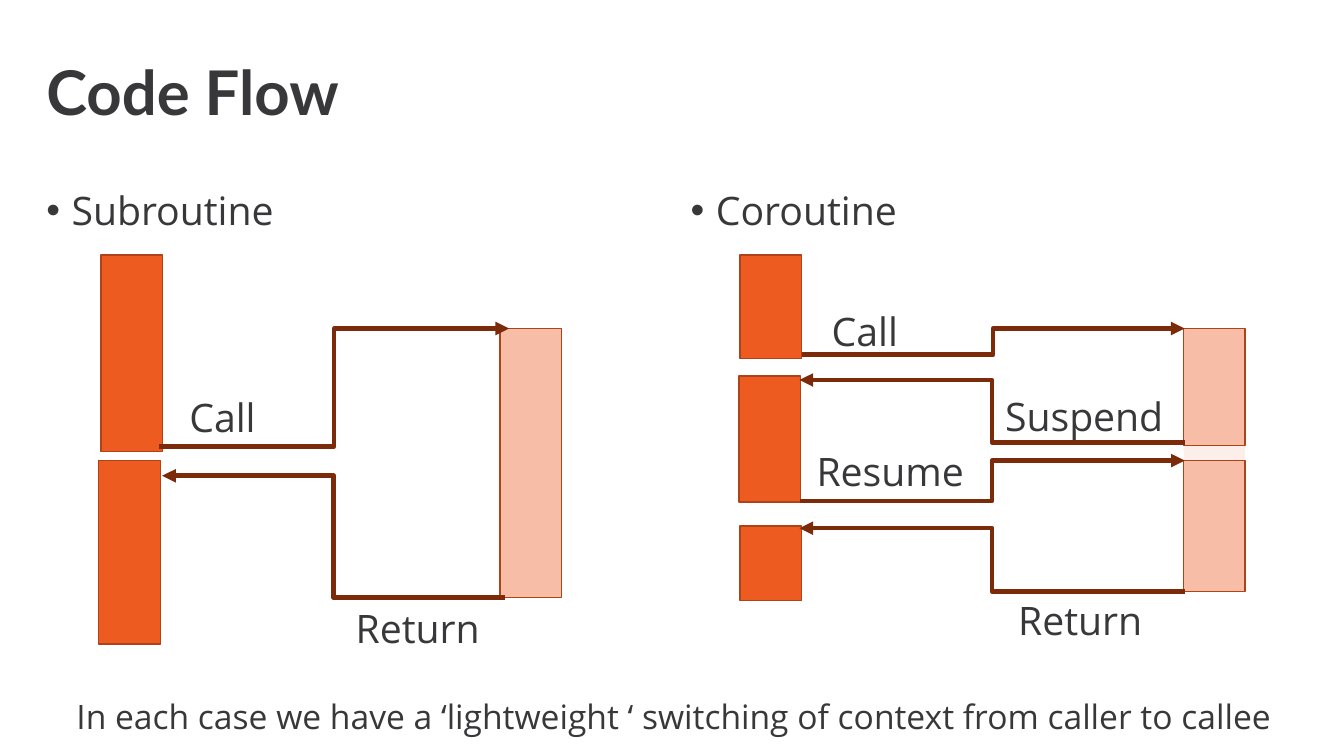
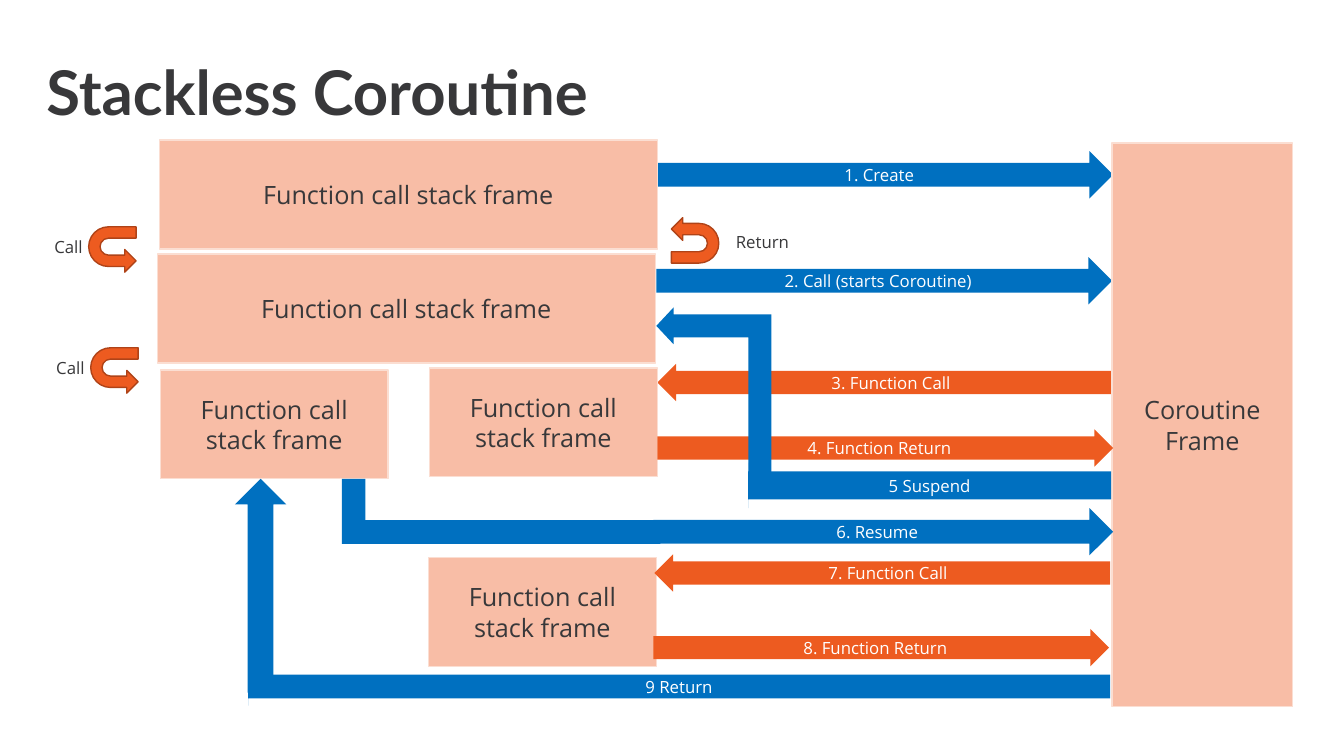
"""Builds two slides that compare subroutine and coroutine control flow."""
from dataclasses import dataclass

from lxml import etree
from pptx import Presentation
from pptx.dml.color import RGBColor
from pptx.enum.shapes import MSO_CONNECTOR, MSO_SHAPE
from pptx.enum.text import MSO_ANCHOR, PP_ALIGN
from pptx.oxml.ns import qn
from pptx.util import Inches, Pt

ELBOW = MSO_CONNECTOR.ELBOW
RECT, UP = MSO_SHAPE.RECTANGLE, MSO_SHAPE.UP_ARROW
RIGHT, LEFT = MSO_SHAPE.RIGHT_ARROW, MSO_SHAPE.LEFT_ARROW
BENT_UP, U_TURN = MSO_SHAPE.BENT_UP_ARROW, MSO_SHAPE.U_TURN_ARROW
MIDDLE, TOP = MSO_ANCHOR.MIDDLE, MSO_ANCHOR.TOP
AT_LEFT, AT_CENTER = PP_ALIGN.LEFT, PP_ALIGN.CENTER


@dataclass(frozen=True)
class Theme:
    """Colours, fonts and type sizes of the slides."""
    ink: str = "38383A"
    white: str = "FFFFFF"
    orange: str = "ED5B20"
    orange_edge: str = "AF4318"
    peach: str = "F8BDA6"
    pale: str = "FBDED2"
    brown: str = "7C2B0A"
    blue: str = "0070C0"
    title_font: str = "Lato"
    body_font: str = "Open Sans"
    title: int = 44
    body: int = 28
    note: int = 24
    frame: int = 18
    small: int = 12


T = Theme()
TWO_CONTENT, TITLE_ONLY = 3, 5
TITLE_BOX = (0.36, 0.4, 12.59, 1.1)

BODIES = [("Subroutine", (0.36, 1.85, 6.22, 4.76)),
          ("Coroutine", (6.75, 1.85, 6.2, 4.76))]
BAR_W = 0.61
CALLER_BARS = [(1, 2.53, 1.95), (0.98, 4.57, 1.82),
               (7.34, 2.53, 1.03), (7.33, 3.73, 1.25), (7.34, 5.22, 0.74)]
CALLEE_BARS = [(4.96, 3.26, 2.67), (11.74, 3.26, 1.16), (11.74, 4.57, 1.3)]
PAUSED_BAR = (11.74, 3.26, 2.61)
FLOWS = [(1.58, 4.43, 5.05, 3.26), (5.01, 5.93, 1.61, 4.72),
         (7.95, 3.52, 11.75, 3.26), (11.75, 4.39, 7.93, 3.77),
         (7.93, 4.97, 11.75, 4.57), (11.75, 5.87, 7.93, 5.24)]
FLOW_LABELS = [("Call", 1.78, 3.85, 1.12), ("Call", 8.15, 3, 1.12),
               ("Return", 3.43, 5.95, 1.47), ("Return", 10, 5.87, 1.47),
               ("Suspend", 9.87, 3.84, 1.78), ("Resume", 8, 4.39, 1.78)]
NOTE = ("In each case we have a ‘lightweight ‘ switching of context "
        "from caller to callee")

FRAME_TEXT = "Function call stack frame"
FRAME_H, WIDE, NARROW = 1.08, 4.94, 2.26
FRAMES = [(FRAME_TEXT, 1.58, 1.39, WIDE, FRAME_H),
          (FRAME_TEXT, 1.56, 2.52, WIDE, FRAME_H),
          (FRAME_TEXT, 4.26, 3.65, NARROW, FRAME_H),
          (FRAME_TEXT, 1.59, 3.67, NARROW, FRAME_H),
          (FRAME_TEXT, 4.25, 5.53, NARROW, FRAME_H),
          ("Coroutine Frame", 11.03, 1.42, 1.79, 5.59)]

ARROW_W, BLUE_H, ORANGE_H = 4.52, 0.47, 0.37
SLIM, HEADLESS = (0.62, 0.5), (0.62, 0)
BACK_ARROWS = [
    ("1. Create", RIGHT, (6.52, 1.5, ARROW_W, BLUE_H), T.blue, ()),
    ("2. Call (starts Coroutine)", RIGHT, (6.51, 2.55, ARROW_W, BLUE_H), T.blue, ()),
    ("3. Function Call", LEFT, (6.52, 3.61, ARROW_W, ORANGE_H), T.orange, SLIM)]
FRONT_ARROWS = [
    ("4. Function Return", RIGHT, (6.52, 4.26, ARROW_W, ORANGE_H), T.orange, SLIM),
    ("7. Function Call", LEFT, (6.49, 5.5, ARROW_W, ORANGE_H), T.orange, SLIM),
    ("8. Function Return", RIGHT, (6.48, 6.24, ARROW_W, ORANGE_H), T.orange, SLIM),
    ("9 Return", LEFT, (2.46, 6.62, 8.55, 0.38), T.blue, HEADLESS),
    ("5 Suspend", LEFT, (7.42, 4.59, 3.6, 0.45), T.blue, HEADLESS),
    ("6. Resume", RIGHT, (6.48, 5.04, 4.56, BLUE_H), T.blue, ())]
TURNS = [((6.15, 3.41, 1.86, 1.14), 270, (0.2, 0.16, 0.15)),
         ((4.82, 3.32, 0.6, 3.46), 90, (0.39, 0.12, 0.5))]
RETURN_HEAD = (2.33, 4.75, 0.51, 2.12)
U_TURN_SIZE, U_TURN_ADJ = (0.45, 0.47), (0.25, 0.25, 0.25, 0.44, 1)
U_TURNS = [("Call", 0.89, 2.24, 270, -0.45, 0.06),
           ("Return", 6.67, 2.15, 90, 0.53, 0.1),
           ("Call", 0.91, 3.44, 270, -0.45, 0.06)]


def rgb(color):
    return RGBColor.from_string(color)


def inches(box):
    return [Inches(v) for v in box]


def write(tf, text, size, color=T.ink, align=AT_LEFT, anchor=TOP,
          font=T.body_font, bold=False):
    tf.text = text
    tf.word_wrap = True
    tf.vertical_anchor = anchor
    p = tf.paragraphs[0]
    p.alignment = align
    r = p.runs[0]
    r.font.name, r.font.size, r.font.bold = font, Pt(size), bold
    r.font.color.rgb = rgb(color)
    return p


def place(sp, box):
    sp.left, sp.top, sp.width, sp.height = inches(box)


def add_slide(prs, layout, title):
    slide = prs.slides.add_slide(prs.slide_layouts[layout])
    sp = slide.shapes.title
    place(sp, TITLE_BOX)
    p = write(sp.text_frame, title, T.title, anchor=MIDDLE,
              font=T.title_font, bold=True)
    p.line_spacing = 0.9
    return slide


def add_bullet(sp, text, box):
    place(sp, box)
    p = write(sp.text_frame, text, T.body)
    pPr = p._p.get_or_add_pPr()
    pPr.set("marL", str(Inches(0.25)))
    pPr.set("indent", str(-Inches(0.25)))
    etree.SubElement(pPr, qn("a:buChar")).set("char", "•")
    p.line_spacing = 0.9
    p.space_before = Pt(0)


def add_label(slide, text, box, size):
    sp = slide.shapes.add_textbox(*inches(box))
    write(sp.text_frame, text, size)


def add_shape(slide, kind, box, fill, edge=None, adj=(), rotation=0):
    sp = slide.shapes.add_shape(kind, *inches(box))
    sp.shadow.inherit = False
    sp.fill.solid()
    sp.fill.fore_color.rgb = rgb(fill)
    if edge:
        sp.line.color.rgb = rgb(edge)
        sp.line.width = Pt(1)
    else:
        sp.line.fill.background()
    for i, value in enumerate(adj):
        sp.adjustments[i] = value
    sp.rotation = rotation
    return sp


def add_flow(slide, ends):
    line = slide.shapes.add_connector(ELBOW, *inches(ends))
    line.line.color.rgb = rgb(T.brown)
    line.line.width = Pt(3.25)
    etree.SubElement(line.line._get_or_add_ln(), qn("a:tailEnd")).set("type", "triangle")
    etree.SubElement(line._element.spPr, qn("a:effectLst"))


def add_arrows(slide, arrows):
    for text, kind, box, color, adj in arrows:
        sp = add_shape(slide, kind, box, color, adj=adj)
        write(sp.text_frame, text, T.small, T.white, AT_CENTER, MIDDLE)


def code_flow(prs):
    slide = add_slide(prs, TWO_CONTENT, "Code Flow")
    for idx, (text, box) in enumerate(BODIES, 1):
        add_bullet(slide.placeholders[idx], text, box)

    x, y, h = PAUSED_BAR
    paused = add_shape(slide, RECT, (x, y, BAR_W, h), T.pale)
    color = paused._element.spPr.find(qn("a:solidFill"))[0]
    etree.SubElement(color, qn("a:alpha")).set("val", "51000")

    for bars, fill in ((CALLER_BARS, T.orange), (CALLEE_BARS, T.peach)):
        for x, y, h in bars:
            add_shape(slide, RECT, (x, y, BAR_W, h), fill, T.orange_edge)
    for ends in FLOWS:
        add_flow(slide, ends)
    for text, x, y, w in FLOW_LABELS:
        add_label(slide, text, (x, y, w, 0.57), T.body)
    add_label(slide, NOTE, (0.66, 6.85, 12.19, 0.5), T.note)


def stackless(prs):
    slide = add_slide(prs, TITLE_ONLY, "Stackless Coroutine")
    add_arrows(slide, BACK_ARROWS)
    for text, *box in FRAMES:
        sp = add_shape(slide, RECT, box, T.peach, T.pale)
        write(sp.text_frame, text, T.frame, T.ink, AT_CENTER, MIDDLE)
    add_arrows(slide, FRONT_ARROWS)
    for box, rotation, adj in TURNS:
        add_shape(slide, BENT_UP, box, T.blue, adj=adj, rotation=rotation)
    add_shape(slide, UP, RETURN_HEAD, T.blue)
    for text, x, y, rotation, dx, dy in U_TURNS:
        sp = add_shape(slide, U_TURN, (x, y, *U_TURN_SIZE), T.orange,
                       T.orange_edge, U_TURN_ADJ, rotation)
        sp._element.spPr.get_or_add_xfrm().set("flipH", "1")
        add_label(slide, text, (x + dx, y + dy, 0.74, 0.3), T.small)


def main():
    prs = Presentation()
    prs.slide_width, prs.slide_height = Inches(13.33), Inches(7.5)
    code_flow(prs)
    stackless(prs)
    prs.save("out.pptx")


if __name__ == "__main__":
    main()
